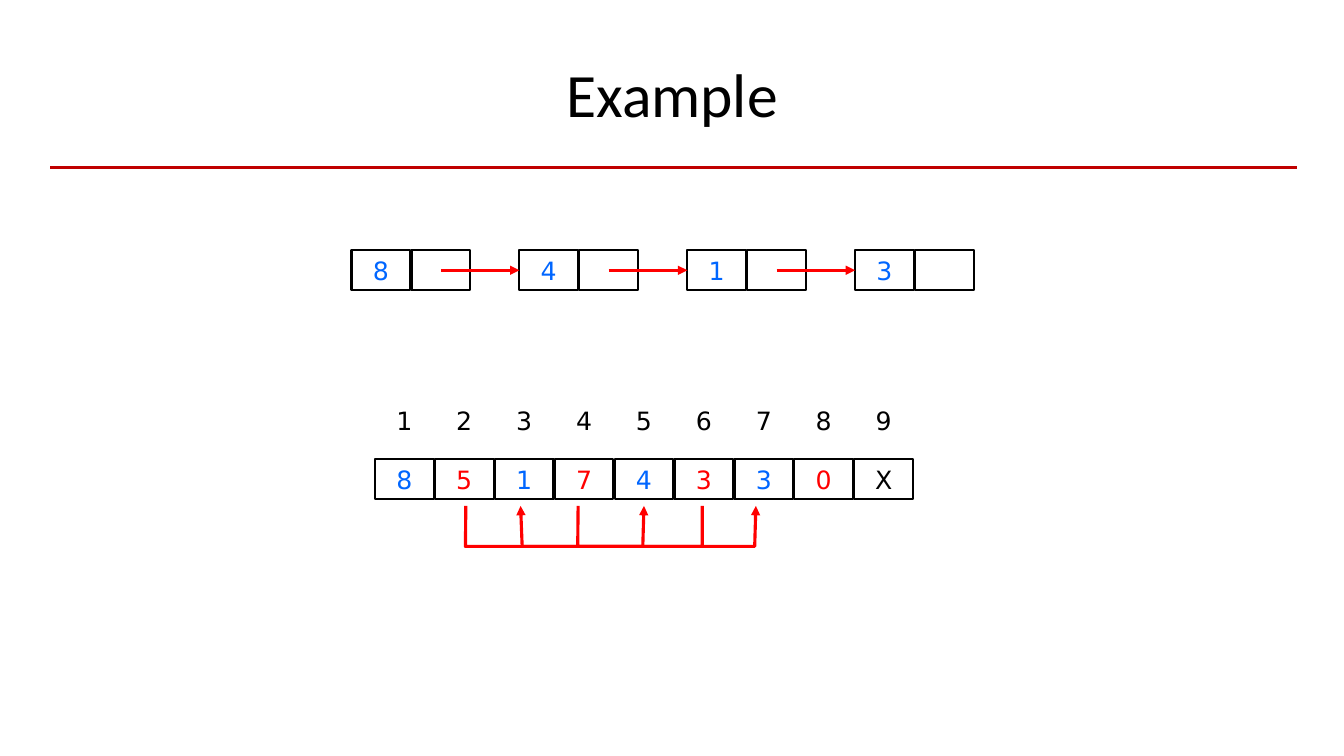
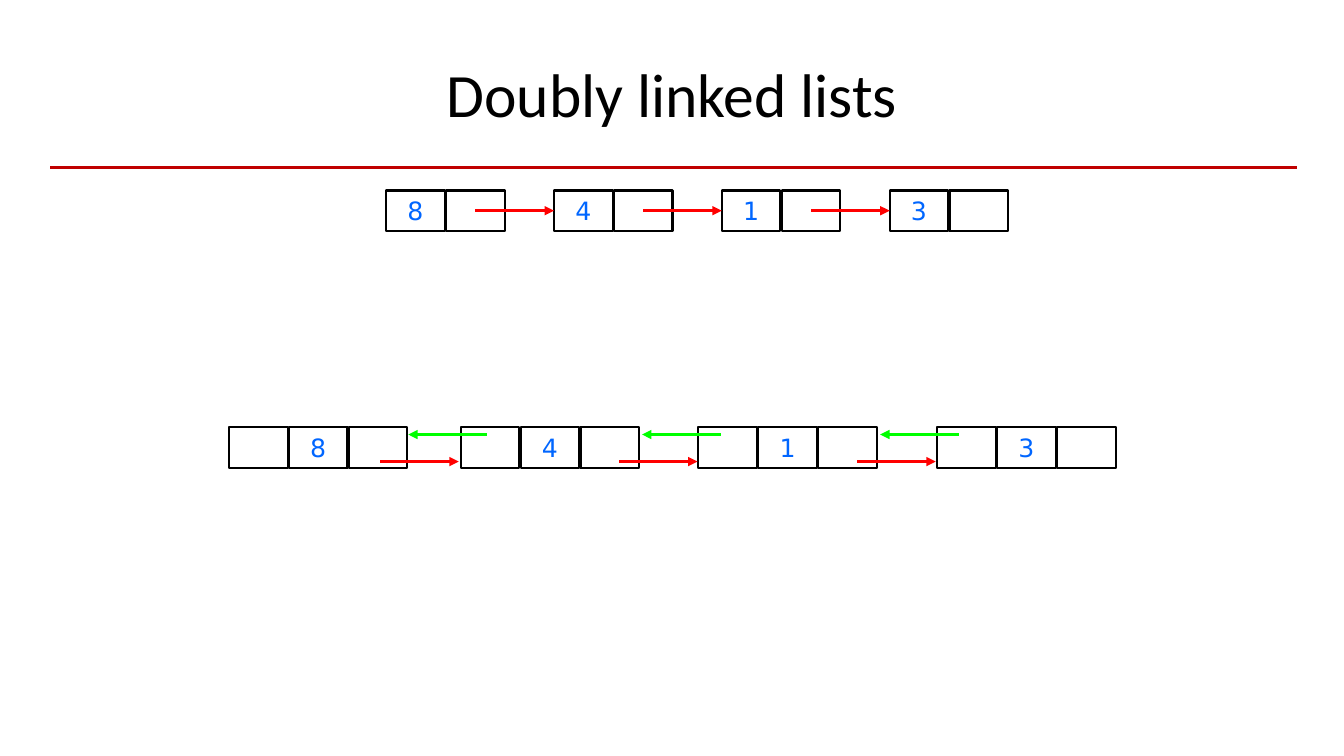
from lxml import etree
from pptx import Presentation
from pptx.dml.color import RGBColor
from pptx.enum.shapes import MSO_CONNECTOR, MSO_SHAPE
from pptx.enum.text import MSO_ANCHOR, PP_ALIGN
from pptx.oxml.ns import qn
from pptx.util import Cm, Pt

RECTANGLE = MSO_SHAPE.RECTANGLE
STRAIGHT = MSO_CONNECTOR.STRAIGHT
MIDDLE = MSO_ANCHOR.MIDDLE
CENTER = PP_ALIGN.CENTER

COLORS = {
    "black": "000000",
    "rule": "C00000",
    "red": "FF0000",
    "blue": "0066FF",
    "green": "00FF00",
}
TITLE_FONT, CELL_FONT = "Calibri", "DejaVu Sans"
CELL_WIDTH, CELL_HEIGHT, CELL_STEP = 1.48, 1.02, 1.51
NODE_STEP = 4.23
ARROW_LENGTH = 1.98
LIST_VALUES = "8413"


class Deck:
    """Hold the shared style and the current slide."""

    def __init__(self):
        self.presentation = Presentation()
        self.presentation.slide_width = Cm(33.87)
        self.presentation.slide_height = Cm(19.05)
        self.slide = None

    def add_slide(self, title):
        layout = self.presentation.slide_layouts[6]
        self.slide = self.presentation.slides.add_slide(layout)
        self.line((1.27, 4.23), (32.69, 4.23), "rule", 2)
        box = self.slide.shapes.add_textbox(Cm(1.7), Cm(0.76), Cm(30.48), Cm(3.18))
        self.set_text(box, title, TITLE_FONT, 44, "black")

    def set_text(self, shape, text, font, size, color):
        frame = shape.text_frame
        frame.word_wrap = True
        frame.vertical_anchor = MIDDLE
        paragraph = frame.paragraphs[0]
        paragraph.alignment = CENTER
        run = paragraph.add_run()
        run.text = text
        run.font.name = font
        run.font.size = Pt(size)
        run.font.color.rgb = RGBColor.from_string(COLORS[color])

    def outline(self, shape, color, width, arrow=False):
        shape.line.color.rgb = RGBColor.from_string(COLORS[color])
        shape.line.width = Pt(width)
        if arrow:
            etree.SubElement(shape.get_or_add_ln(), qn("a:tailEnd"), type="triangle")

    def line(self, start, end, color, width, arrow=False):
        ends = [Cm(value) for value in (*start, *end)]
        connector = self.slide.shapes.add_connector(STRAIGHT, *ends)
        self.outline(connector, color, width, arrow)
        etree.SubElement(connector.element.spPr, qn("a:effectLst"))

    def arrow(self, x, y, length, color):
        self.line((x, y), (x + length, y), color, 2.25, arrow=True)

    def bent_arrow(self, points):
        start, *rest = [(Cm(x), Cm(y)) for x, y in points]
        builder = self.slide.shapes.build_freeform(*start)
        builder.add_line_segments(rest, close=False)
        shape = builder.convert_to_shape()
        shape.shadow.inherit = False
        shape.fill.background()
        self.outline(shape, "red", 2.25, arrow=True)

    def cell(self, x, y, text="", color="blue"):
        shape = self.slide.shapes.add_shape(
            RECTANGLE, Cm(x), Cm(y), Cm(CELL_WIDTH), Cm(CELL_HEIGHT))
        shape.shadow.inherit = False
        shape.fill.background()
        self.outline(shape, "black", 1.5)
        if text:
            self.set_text(shape, text, CELL_FONT, 18, color)

    def label(self, x, y, text):
        box = self.slide.shapes.add_textbox(
            Cm(x), Cm(y), Cm(CELL_WIDTH), Cm(CELL_HEIGHT))
        self.set_text(box, text, CELL_FONT, 18, "black")

    def node(self, x, y, texts):
        for column, text in enumerate(texts):
            self.cell(x + column * CELL_STEP, y, text)

    def linked_list(self, left, top):
        for index, value in enumerate(LIST_VALUES):
            x = left + index * NODE_STEP
            self.node(x, top, (value, ""))
            if index:
                self.arrow(x - ARROW_LENGTH, top + CELL_HEIGHT / 2, ARROW_LENGTH, "red")

    def array(self, left, value_top, index_top, values, colors):
        for index, (value, color) in enumerate(zip(values, colors)):
            x = left + index * CELL_STEP
            self.cell(x, value_top, value, color)
            self.label(x, index_top, str(index + 1))


def build_example(deck):
    deck.add_slide("Example")
    deck.linked_list(8.86, 6.3)
    colors = ["blue", "red"] + ["blue", "red"] * 3 + ["black"]
    deck.array(9.45, 11.56, 10.08, "85174330X", colors)
    top, bottom = 12.75, 13.77
    for start, start_foot, end_foot, end in (
            (11.74, 11.73, 16.2, 16.23),
            (17.7, 17.7, 13.16, 13.12),
            (14.57, 14.56, 19.02, 19.05)):
        deck.bent_arrow(
            [(start, top), (start_foot, bottom), (end_foot, bottom), (end, top)])


def build_doubly_linked(deck):
    deck.add_slide("Doubly linked lists")
    deck.linked_list(9.73, 4.8)
    for left, value in zip((5.77, 11.61, 17.6, 23.62), LIST_VALUES):
        deck.node(left, 10.77, ("", value, ""))
    for next_start, previous_start in ((9.58, 12.27), (15.6, 18.16), (21.6, 24.16)):
        deck.arrow(next_start, 11.63, ARROW_LENGTH, "red")
        deck.arrow(previous_start, 10.95, -ARROW_LENGTH, "green")


def main():
    deck = Deck()
    build_example(deck)
    build_doubly_linked(deck)
    deck.presentation.save("out.pptx")


if __name__ == "__main__":
    main()
